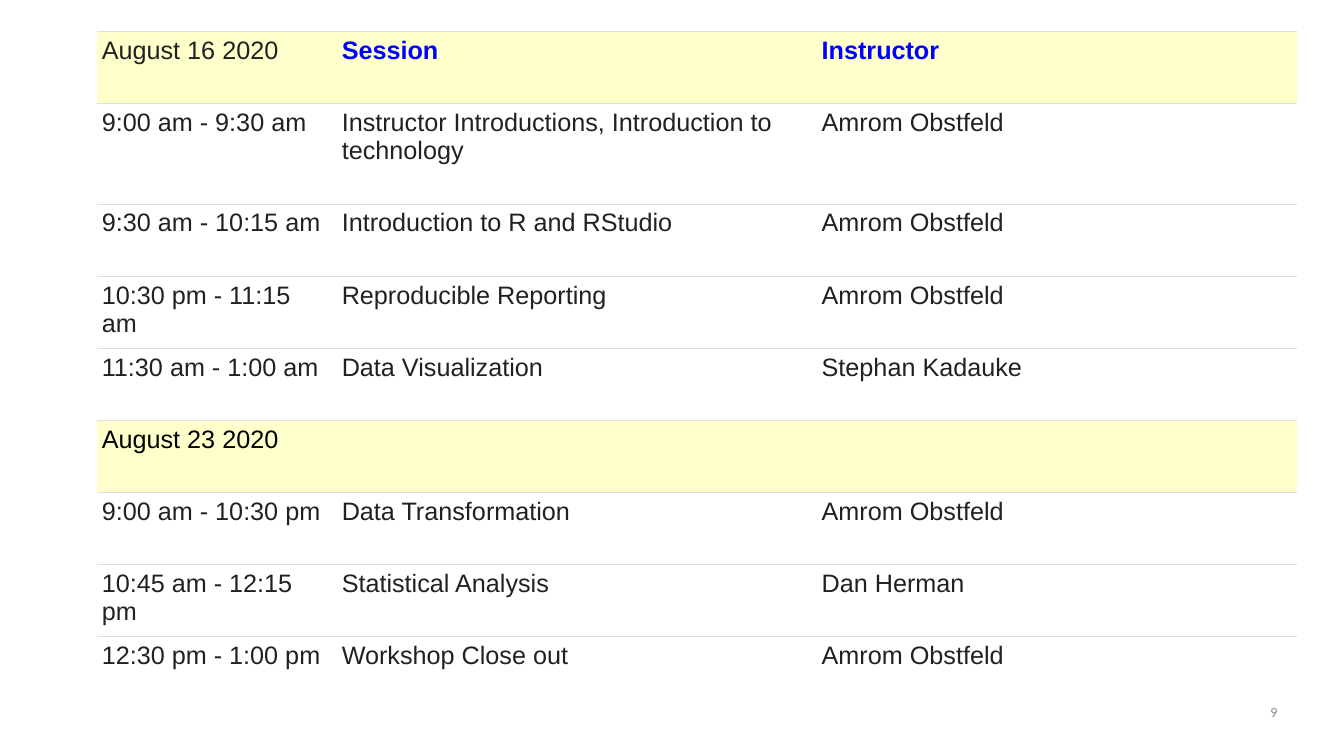
from lxml.etree import SubElement
from pptx import Presentation
from pptx.dml.color import RGBColor as Rgb
from pptx.enum.shapes import MSO_SHAPE as Shape
from pptx.enum.text import PP_ALIGN as Align
from pptx.oxml.ns import qn
from pptx.util import Inches, Pt

COLORS = {
    "ink": "212121",
    "black": "000000",
    "heading": "0000FF",
    "day": "FFFFCC",
    "white": "FFFFFF",
    "rule": "DDDDDD",
    "number": "888888",
}
SCHEDULE = [
    ("August 16 2020", "Session", "Instructor"),
    ("9:00 am - 9:30 am", "Instructor Introductions, Introduction to technology", "Amrom Obstfeld"),
    ("9:30 am - 10:15 am", "Introduction to R and RStudio", "Amrom Obstfeld"),
    ("10:30 pm - 11:15 am", "Reproducible Reporting", "Amrom Obstfeld"),
    ("11:30 am - 1:00 am", "Data Visualization", "Stephan Kadauke"),
    ("August 23 2020", "", ""),
    ("9:00 am - 10:30 pm", "Data Transformation", "Amrom Obstfeld"),
    ("10:45 am - 12:15 pm", "Statistical Analysis", "Dan Herman"),
    ("12:30 pm - 1:00 pm", "Workshop Close out", "Amrom Obstfeld"),
]
COLUMN = 2.38
COLUMN_SPANS = (1, 2, 2)
ROW, TALL_ROW = 0.715, 1
LAST = len(SCHEDULE) - 1


def style_font(font, name, size, color):
    font.name, font.size = name, Pt(size)
    font.color.rgb = Rgb.from_string(COLORS[color])


def set_borders(cell, ruled_sides):
    """Rule the named sides of a cell and clear the others."""
    properties = cell._tc.get_or_add_tcPr()
    for side in ("L", "R", "T", "B"):
        line = SubElement(properties, qn(f"a:ln{side}"), w=str(Pt(1)))
        if side in ruled_sides:
            fill = SubElement(line, qn("a:solidFill"))
            SubElement(fill, qn("a:srgbClr"), val=COLORS["rule"])
        else:
            SubElement(line, qn("a:noFill"))


deck = Presentation()
deck.slide_width, deck.slide_height = Inches(13.33), Inches(7.5)
page = deck.slides.add_slide(deck.slide_layouts[6])

margin_panel = page.shapes.add_shape(
    Shape.RECTANGLE, 0, Inches(0.23), Inches(1.11), Inches(2.35))
margin_panel.shadow.inherit = False
margin_panel.fill.solid()
margin_panel.fill.fore_color.rgb = Rgb.from_string(COLORS["white"])
margin_panel.line.color.rgb = Rgb.from_string(COLORS["white"])
margin_panel.line.width = Pt(1.25)

frame = page.shapes.add_table(
    len(SCHEDULE), len(COLUMN_SPANS), Inches(0.96), Inches(0.31),
    Inches(COLUMN * sum(COLUMN_SPANS)), Inches(ROW * LAST + TALL_ROW))
table = frame.table
table.first_row = table.horz_banding = False
for column, span in zip(table.columns, COLUMN_SPANS):
    column.width = Inches(COLUMN * span)

for r, entries in enumerate(SCHEDULE):
    table.rows[r].height = Inches(TALL_ROW if r == 1 else ROW)
    is_day = entries[0].startswith("August")
    for c, entry in enumerate(entries):
        cell = table.cell(r, c)
        cell.margin_left = cell.margin_right = Inches(0.05)
        cell.margin_top = cell.margin_bottom = Inches(0.05)
        set_borders(cell, "T" if r == LAST else "TB")
        cell.fill.solid()
        cell.fill.fore_color.rgb = Rgb.from_string(COLORS["day" if is_day else "white"])
        para = cell.text_frame.paragraphs[0]
        para.text = entry
        para.space_after = Pt(15)
        is_heading = r == 0 and c > 0
        color = "heading" if is_heading else "black" if is_day and r else "ink"
        for span in para.runs:
            style_font(span.font, "Arial", 18, color)
            span.font.bold = is_heading

box = page.shapes.add_textbox(Inches(9.6), Inches(6.98), Inches(3.07), Inches(0.38))
text = box.text_frame
text.word_wrap = True
text.margin_left = text.margin_right = text.margin_top = text.margin_bottom = 0
text.text = "9"
number = text.paragraphs[0]
number.alignment = Align.RIGHT
style_font(number.runs[0].font, "Calibri", 10, "number")

deck.save("out.pptx")
